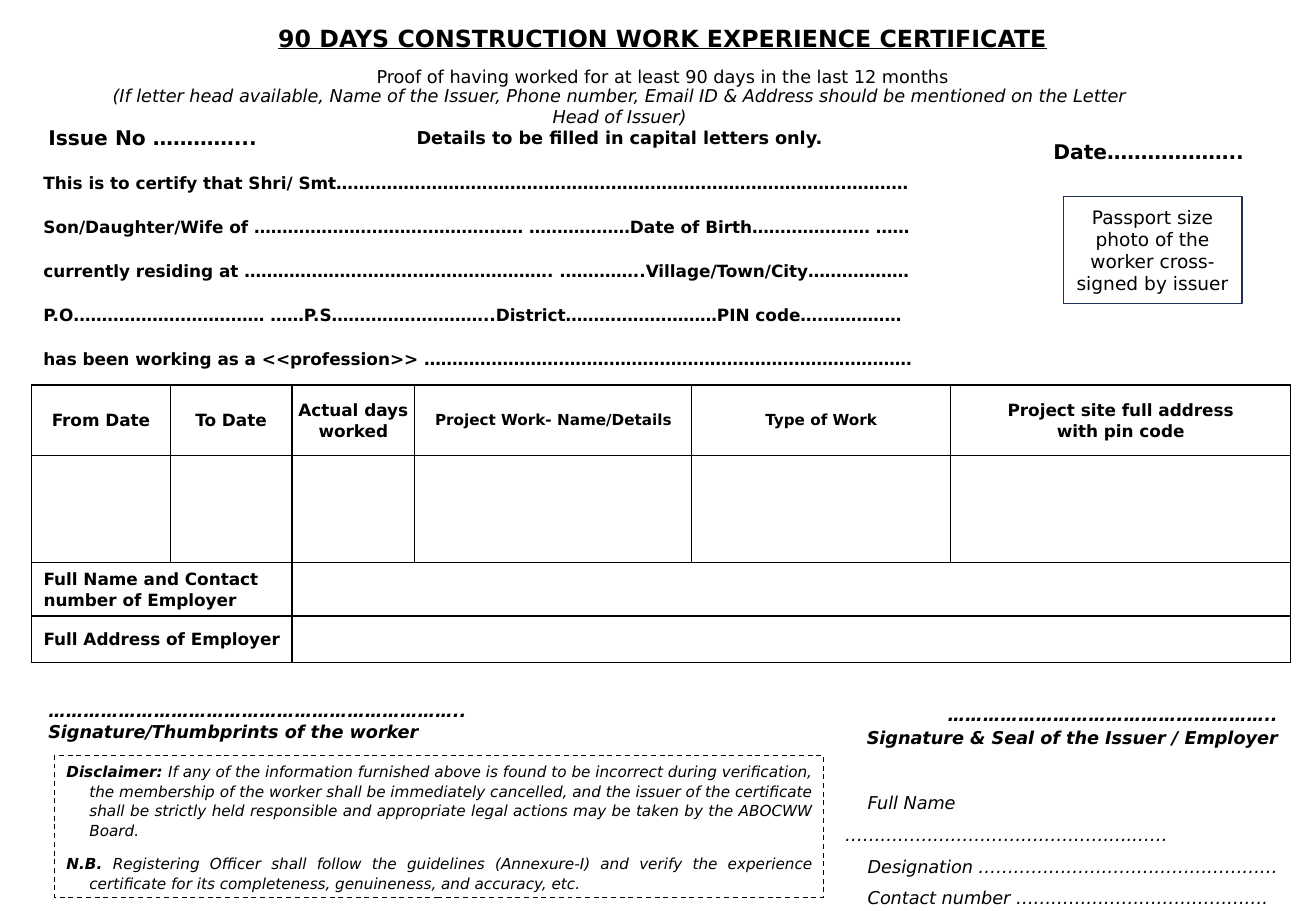
import pptx
import pptx.dml.color
import pptx.enum.dml
import pptx.enum.shapes
import pptx.enum.text
import pptx.oxml
import pptx.oxml.ns
import pptx.util

Cm = pptx.util.Cm
Pt = pptx.util.Pt
Align = pptx.enum.text.PP_ALIGN
Anchor = pptx.enum.text.MSO_ANCHOR
Fit = pptx.enum.text.MSO_AUTO_SIZE

FONT = "DejaVu Sans"
BLACK = "000000"
NAVY = "1E3256"

PLEDGE = [
    "This is to certify that Shri/ Smt…………………………………………………………………………………………",
    "Son/Daughter/Wife of ………………………………………… ………………Date of Birth………………… ……",
    "currently residing at ………………………………………………. .…………..Village/Town/City………………",
    "P.O.…………………………… ……P.S………………………..District………………………PIN code………………",
    "has been working as a <<profession>> ……………………………………………………………………………",
]
HEADS = [
    ("From Date", 10, 0.25),
    ("To Date", 10, 0.25),
    ("Actual days worked", 10, 0),
    ("Project Work- Name/Details", 9, 0),
    ("Type of Work", 9, 0),
    ("Project site full address\nwith pin code", 10, 0),
]
LABELS = ["Full Name and Contact number of Employer", "Full Address of Employer"]
COLS = [2.9, 2.54, 2.57, 5.79, 5.41, 7.11]
ROWS = [1.47, 2.24, 1.12, 0.97]
NOTES = [
    ("Disclaimer: ",
     "If any of the information furnished above is found to be incorrect during "
     "verification, the membership of the worker shall be immediately cancelled, "
     "and the issuer of the certificate shall be strictly held responsible and "
     "appropriate legal actions may be taken by the ABOCWW Board."),
    ("N.B. ",
     "Registering Officer shall follow the guidelines (Annexure-I) and verify the "
     "experience certificate for its completeness, genuineness, and accuracy, etc."),
]


def paint(code):
    return pptx.dml.color.RGBColor.from_string(code)


def style(para, size, bold=False, slant=False, align=Align.LEFT, lead=None, after=0):
    para.alignment = align
    para.space_after = Pt(after)
    if lead:
        para.line_spacing = lead
    for run in para.runs:
        font = run.font
        font.name, font.size = FONT, Pt(size)
        font.bold, font.italic = bold, slant
        font.color.rgb = paint(BLACK)


def write(frame, lines, size, **looks):
    """Fill the frame with one paragraph a line, all in one style."""
    frame.word_wrap = True
    frame.text = "\n".join(lines)
    for para in frame.paragraphs:
        style(para, size, **looks)
    return frame.paragraphs


def add_text(slide, place, lines, size, grow=True, **looks):
    frame = slide.shapes.add_textbox(*map(Cm, place)).text_frame
    paras = write(frame, lines, size, **looks)
    frame.auto_size = Fit.SHAPE_TO_FIT_TEXT if grow else Fit.NONE
    return frame, paras


def add_frame(slide, place, tint, width):
    """Add an unfilled rectangle with an outline."""
    kind = pptx.enum.shapes.MSO_SHAPE.RECTANGLE
    shape = slide.shapes.add_shape(kind, *map(Cm, place))
    shape.shadow.inherit = False
    shape.fill.background()
    shape.line.color.rgb = paint(tint)
    shape.line.width = Pt(width)
    return shape


def indent(para, left, first):
    props = para._p.get_or_add_pPr()
    props.set("marL", str(Cm(left)))
    props.set("indent", str(Cm(first)))


def edge(cell):
    """Draw black borders round a cell and leave it unfilled."""
    props = cell._tc.get_or_add_tcPr()
    for side in "LRTB":
        props.append(pptx.oxml.parse_xml(
            f'<a:ln{side} {pptx.oxml.ns.nsdecls("a")} w="{Pt(1)}"><a:solidFill>'
            f'<a:srgbClr val="{BLACK}"/></a:solidFill></a:ln{side}>'))
    cell.fill.background()


def fill_cell(cell, text, size, inset, align):
    cell.margin_left = cell.margin_right = Cm(inset)
    write(cell.text_frame, [text], size, bold=True, align=align, lead=1.07)


def add_grid(slide):
    place = (0.66, 8.05, sum(COLS), sum(ROWS))
    grid = slide.shapes.add_table(len(ROWS), len(COLS), *map(Cm, place)).table
    grid.first_row = grid.horz_banding = False
    for col, width in zip(grid.columns, COLS):
        col.width = Cm(width)
    for row, height in zip(grid.rows, ROWS):
        row.height = Cm(height)
    for cell in grid.iter_cells():
        cell.margin_top = cell.margin_bottom = 0
        cell.vertical_anchor = Anchor.MIDDLE
        edge(cell)
    for col, (text, size, inset) in enumerate(HEADS):
        fill_cell(grid.cell(0, col), text, size, inset, Align.CENTER)
    for row, text in enumerate(LABELS, 2):
        grid.cell(row, 0).merge(grid.cell(row, 1))
        grid.cell(row, 2).merge(grid.cell(row, 5))
        fill_cell(grid.cell(row, 0), text, 10, 0.25, Align.LEFT)


def add_head(slide):
    _, (title, proof) = add_text(
        slide, (1.22, 0.38, 25.27, 1.6),
        ["90 DAYS CONSTRUCTION WORK EXPERIENCE CERTIFICATE",
         "Proof of having worked for at least 90 days in the last 12 months"],
        10.5, align=Align.CENTER, after=8)
    style(title, 14, bold=True, align=Align.CENTER, after=8)
    title.runs[0].font.underline = True

    _, (hint, rule) = add_text(
        slide, (1.83, 1.65, 22.25, 1.6),
        ["(If letter head available, Name of the Issuer, Phone number, Email ID "
         "& Address should be mentioned on the Letter Head of Issuer)",
         "Details to be filled in capital letters only."],
        10.5, slant=True, align=Align.CENTER)
    style(rule, 10.5, bold=True, align=Align.CENTER)


def add_photo(slide):
    shape = add_frame(slide, (22.23, 4.11, 3.73, 2.24), NAVY, 1)
    shape.text_frame.vertical_anchor = Anchor.MIDDLE
    write(shape.text_frame,
          ["Passport size photo of the worker cross-signed by issuer"],
          11, align=Align.CENTER)


def add_signs(slide):
    frame, (dots, _) = add_text(
        slide, (0.76, 13.51, 11.02, 2.29),
        ["……………………………………………………………..",
         "Signature/Thumbprints of the worker"],
        10.5, grow=False, bold=True, slant=True)
    dots.line_spacing = 1.5
    frame.vertical_anchor = Anchor.BOTTOM
    frame.margin_bottom = Cm(0.28)

    frame, _ = add_text(
        slide, (17.32, 14.02, 9.65, 2.29),
        ["………………………………………………..",
         "Signature & Seal of the Issuer / Employer"],
        10.5, grow=False, bold=True, slant=True, align=Align.RIGHT, lead=1.07)
    frame.vertical_anchor = Anchor.MIDDLE


def add_notes(slide):
    shape = add_frame(slide, (1.14, 15.8, 16.08, 2.97), BLACK, 0.75)
    shape.line.dash_style = pptx.enum.dml.MSO_LINE.DASH
    frame = shape.text_frame
    frame.vertical_anchor = Anchor.TOP
    paras = write(frame, [label for label, _ in NOTES], 9)
    for para, (_, body) in zip(paras, NOTES):
        para.add_run().text = body
        style(para, 9, slant=True, align=Align.JUSTIFY, lead=1.07, after=8)
        para.runs[0].font.bold = True
        indent(para, 0.48, -0.48)
    frame.auto_size = Fit.SHAPE_TO_FIT_TEXT


def add_issuer(slide):
    _, paras = add_text(
        slide, (17.42, 16.21, 9.58, 2.18),
        ["Full Name ………………………………………….……",
         "Designation ……………………………………………",
         "Contact number ……………………………………."],
        10.5, slant=True, lead=1.5)
    for para in paras:
        indent(para, 0, 0.47)


def main():
    deck = pptx.Presentation()
    deck.slide_width, deck.slide_height = Cm(27.51), Cm(19.05)
    slide = deck.slides.add_slide(deck.slide_layouts[6])
    add_head(slide)
    add_text(slide, (0.66, 3.28, 21.03, 4.6), PLEDGE, 10,
             bold=True, lead=1.5, after=8)
    add_photo(slide)
    add_grid(slide)
    add_signs(slide)
    add_notes(slide)
    add_issuer(slide)
    add_text(slide, (0.76, 2.49, 8.41, 0.76), ["Issue No …………..."], 12, bold=True)
    add_text(slide, (21.77, 2.79, 4.7, 0.76), ["Date……………….."], 12, bold=True)
    deck.save("out.pptx")


if __name__ == "__main__":
    main()
